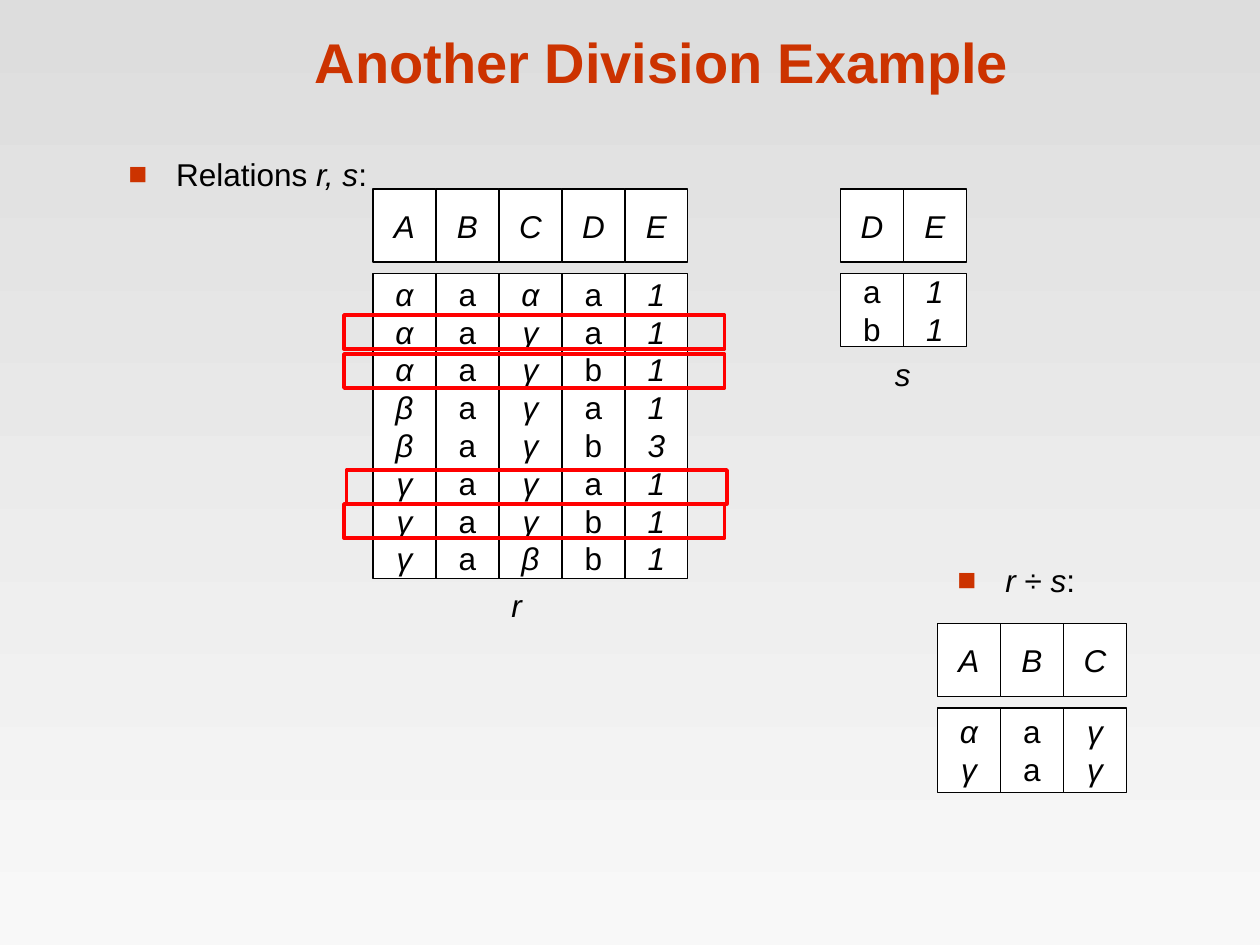
from lxml import etree
from pptx import Presentation
from pptx import util as u
from pptx.dml.color import RGBColor
from pptx.enum import shapes, text
from pptx.oxml.ns import qn

BLACK = RGBColor(0x00, 0x00, 0x00)
WHITE = RGBColor(0xFF, 0xFF, 0xFF)
RED = RGBColor(0xFF, 0x00, 0x00)
ACCENT = RGBColor(0xCC, 0x33, 0x00)
TOP_GREY = RGBColor(0xDD, 0xDD, 0xDD)
BOTTOM_GREY = RGBColor(0xF8, 0xF8, 0xF8)

BODY = {"name": "Arial", "size": u.Pt(18), "bold": False, "italic": False}
ITALIC = {**BODY, "italic": True}
TITLE = {**BODY, "size": u.Pt(32), "bold": True}

COLUMN = 0.5
HEADER = 0.58
BODY_OFFSET = 0.67

R_ROWS = ["αaαa1", "αaγa1", "αaγb1", "βaγa1",
          "βaγb3", "γaγa1", "γaγb1", "γaβb1"]


def inches(*lengths):
    return [u.Inches(length) for length in lengths]


def add_run(p, words, style, color=BLACK):
    r = p.add_run()
    r.text = words
    for name, value in style.items():
        setattr(r.font, name, value)
    r.font.color.rgb = color


def add_text(s, box, words, style, color=BLACK, wrap=False,
             anchor=text.MSO_ANCHOR.MIDDLE):
    tf = s.shapes.add_textbox(*inches(*box)).text_frame
    tf.word_wrap = wrap
    tf.vertical_anchor = anchor
    p = tf.paragraphs[0]
    p.alignment = text.PP_ALIGN.CENTER
    add_run(p, words, style, color)


def add_bullet_line(s, box, runs):
    tf = s.shapes.add_textbox(*inches(*box)).text_frame
    tf.word_wrap = True
    p = tf.paragraphs[0]
    pPr = p._p.get_or_add_pPr()
    pPr.set("marL", str(u.Inches(0.38)))
    pPr.set("indent", str(u.Inches(-0.38)))
    color = etree.SubElement(pPr, qn("a:buClr"))
    etree.SubElement(color, qn("a:srgbClr"), val=str(ACCENT))
    etree.SubElement(pPr, qn("a:buFont"), typeface="Arial")
    etree.SubElement(pPr, qn("a:buChar"), char="■")
    for words, style in runs:
        add_run(p, words, style)


def add_rect(s, box, line, width):
    sp = s.shapes.add_shape(shapes.MSO_SHAPE.RECTANGLE, *inches(*box))
    sp.shadow.inherit = False
    sp.line.color.rgb = line
    sp.line.width = u.Pt(width)
    return sp


def add_cell(s, box, lines):
    sp = add_rect(s, box, BLACK, 0.75)
    sp.fill.solid()
    sp.fill.fore_color.rgb = WHITE
    tf = sp.text_frame
    tf.word_wrap = False
    tf.vertical_anchor = text.MSO_ANCHOR.MIDDLE
    for i, words in enumerate(lines):
        p = tf.add_paragraph() if i else tf.paragraphs[0]
        p.alignment = text.PP_ALIGN.CENTER
        add_run(p, words, BODY if words in "ab" else ITALIC)


def add_relation(s, left, top, body_height, names, rows):
    for i, (name, values) in enumerate(zip(names, zip(*rows))):
        x = left + i * COLUMN
        add_cell(s, (x, top, COLUMN, HEADER), [name])
        add_cell(s, (x, top + BODY_OFFSET, COLUMN, body_height), values)


def add_highlight(s, left, top):
    add_rect(s, (left, top, 3.02, 0.27), RED, 2).fill.background()


def set_background(s):
    fill = s.background.fill
    fill.gradient()
    fill.gradient_angle = 270
    for stop, color, position in zip(fill.gradient_stops,
                                     (TOP_GREY, BOTTOM_GREY), (0, 1)):
        stop.color.rgb = color
        stop.position = position


def main():
    prs = Presentation()
    prs.slide_width, prs.slide_height = inches(10, 7.5)
    s = prs.slides.add_slide(prs.slide_layouts[6])
    set_background(s)
    add_text(s, (0.84, 0.13, 8.83, 0.67), "Another Division Example", TITLE,
             ACCENT, True, text.MSO_ANCHOR.BOTTOM)
    add_bullet_line(s, (0.92, 1.18, 2.33, 0.36),
                    [("Relations ", BODY), ("r, s", ITALIC), (":", BODY)])
    add_bullet_line(s, (7.5, 4.4, 1.42, 0.36),
                    [("r ", ITALIC), ("÷ ", BODY), ("s", ITALIC), (":", BODY)])
    add_relation(s, 2.96, 1.5, 2.42, "ABCDE", R_ROWS)
    add_relation(s, 6.67, 1.5, 0.58, "DE", ["a1", "b1"])
    add_relation(s, 7.44, 4.95, 0.67, "ABC", ["αaγ", "γaγ"])
    add_text(s, (3.96, 4.6, 0.28, 0.4), "r", ITALIC)
    add_text(s, (7, 2.77, 0.33, 0.4), "s", ITALIC)
    for left, top in [(2.73, 2.5), (2.73, 4), (2.75, 3.73), (2.73, 2.81)]:
        add_highlight(s, left, top)
    prs.save("out.pptx")


if __name__ == "__main__":
    main()
